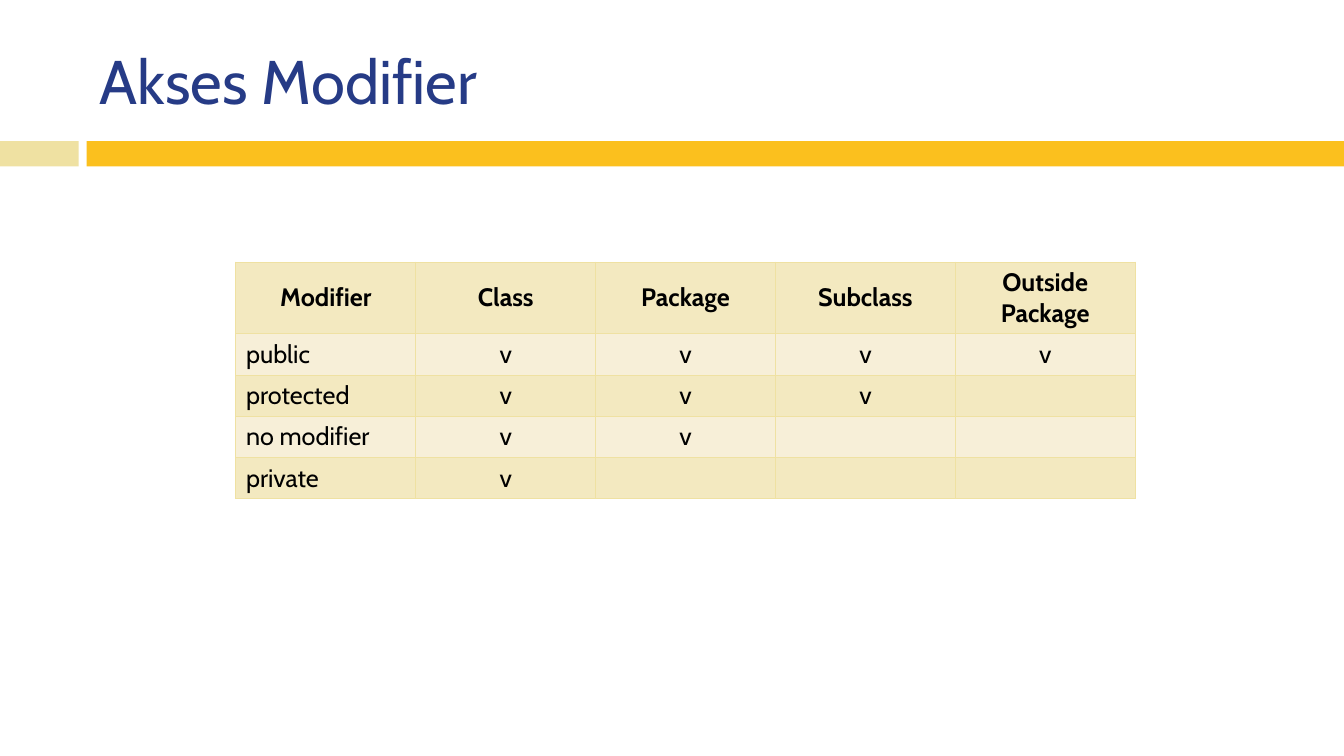
import pptx
import pptx.util
import pptx.dml.color
import pptx.enum.shapes
import pptx.enum.text
import pptx.oxml
import pptx.oxml.ns

RGBColor = pptx.dml.color.RGBColor
Inches = pptx.util.Inches
Pt = pptx.util.Pt
ALIGN = pptx.enum.text.PP_ALIGN
MIDDLE = pptx.enum.text.MSO_ANCHOR.MIDDLE

NAVY = RGBColor(0x26, 0x3B, 0x86)
AMBER = RGBColor(0xFB, 0xC0, 0x1E)
SAND = RGBColor(0xEF, 0xE1, 0xA2)
BAND_DARK = RGBColor(0xF3, 0xE9, 0xC0)
BAND_LIGHT = RGBColor(0xF7, 0xEF, 0xD8)
BLACK = RGBColor(0, 0, 0)
FONT = "Cabin"

SLIDE_WIDTH, SLIDE_HEIGHT = 13.33, 7.5
BAR_TOP, BAR_HEIGHT = 1.4, 0.25
BAR_SPLIT, BAR_GAP = 0.78, 0.08
TABLE_LEFT, TABLE_TOP, TABLE_WIDTH = 2.34, 2.6, 8.92
HEADER_HEIGHT, ROW_HEIGHT = 0.71, 0.41
BORDER_WIDTH = Pt(0.79)

HEADINGS = ["Modifier", "Class", "Package", "Subclass", "Outside Package"]
# Number of scopes, counted from Class outwards, that each modifier opens.
ACCESS = {"public": 4, "protected": 3, "no modifier": 2, "private": 1}


def style_text(frame, text, size, color, bold=False, align=ALIGN.LEFT):
    frame.text = text
    frame.word_wrap = True
    frame.vertical_anchor = MIDDLE
    para = frame.paragraphs[0]
    para.alignment = align
    para.font.name = FONT
    para.font.size = Pt(size)
    para.font.bold = bold
    para.font.color.rgb = color


def add_title(page, text):
    title = page.shapes.title
    title.left, title.top = Inches(0.89), Inches(0.25)
    title.width, title.height = Inches(11.89), Inches(1.08)
    style_text(title.text_frame, text, 44, NAVY)


def add_bar(page, left, right, color):
    bar = page.shapes.add_shape(
        pptx.enum.shapes.MSO_SHAPE.RECTANGLE,
        Inches(left), Inches(BAR_TOP), Inches(right - left), Inches(BAR_HEIGHT))
    bar.shadow.inherit = False
    bar.fill.solid()
    bar.fill.fore_color.rgb = color
    bar.line.fill.background()


def add_borders(cell):
    """Outline a cell; border elements must come before its fill."""
    properties = cell._tc.get_or_add_tcPr()
    for position, side in enumerate("LRTB"):
        border = pptx.oxml.parse_xml(
            f'<a:ln{side} {pptx.oxml.ns.nsdecls("a")} w="{BORDER_WIDTH}">'
            f'<a:solidFill><a:srgbClr val="{SAND}"/></a:solidFill></a:ln{side}>')
        properties.insert(position, border)


def add_access_table(page):
    scopes = len(HEADINGS) - 1
    rows = [HEADINGS] + [
        [name] + ["v"] * count + [""] * (scopes - count)
        for name, count in ACCESS.items()]
    heights = [HEADER_HEIGHT] + [ROW_HEIGHT] * len(ACCESS)
    table = page.shapes.add_table(
        len(rows), len(HEADINGS), Inches(TABLE_LEFT), Inches(TABLE_TOP),
        Inches(TABLE_WIDTH), Inches(sum(heights))).table
    table.first_row = table.horz_banding = False
    for row_index, texts in enumerate(rows):
        table.rows[row_index].height = Inches(heights[row_index])
        header = row_index == 0
        for column_index, text in enumerate(texts):
            cell = table.cell(row_index, column_index)
            cell.fill.solid()
            cell.fill.fore_color.rgb = BAND_LIGHT if row_index % 2 else BAND_DARK
            cell.vertical_anchor = MIDDLE
            centred = header or column_index > 0
            style_text(cell.text_frame, text, 18, BLACK, header,
                       ALIGN.CENTER if centred else ALIGN.LEFT)
            # The anchor and wrapping of a cell belong to the cell itself.
            add_borders(cell)


def main():
    deck = pptx.Presentation()
    deck.slide_width = Inches(SLIDE_WIDTH)
    deck.slide_height = Inches(SLIDE_HEIGHT)
    page = deck.slides.add_slide(deck.slide_layouts.get_by_name("Title Only"))
    add_bar(page, 0, BAR_SPLIT, SAND)
    add_bar(page, BAR_SPLIT + BAR_GAP, SLIDE_WIDTH, AMBER)
    add_title(page, "Akses Modifier")
    add_access_table(page)
    deck.save("out.pptx")


if __name__ == "__main__":
    main()
